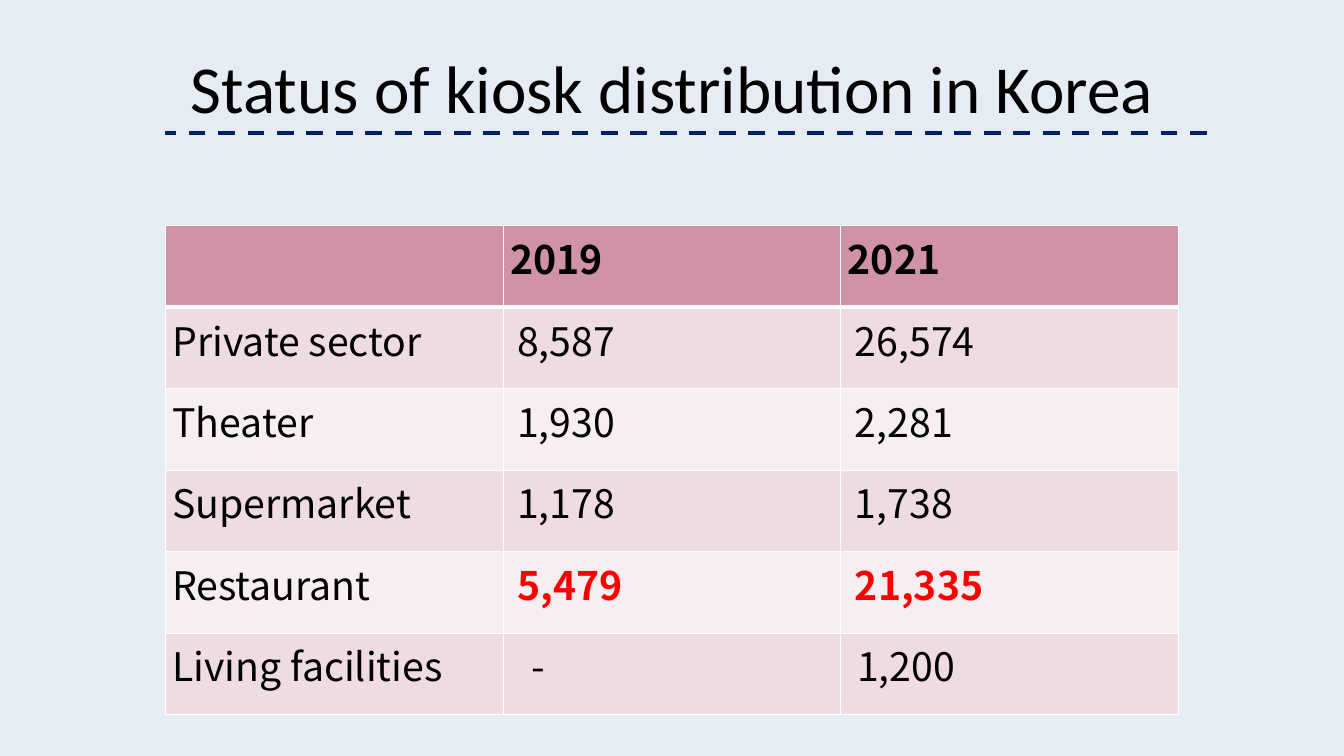
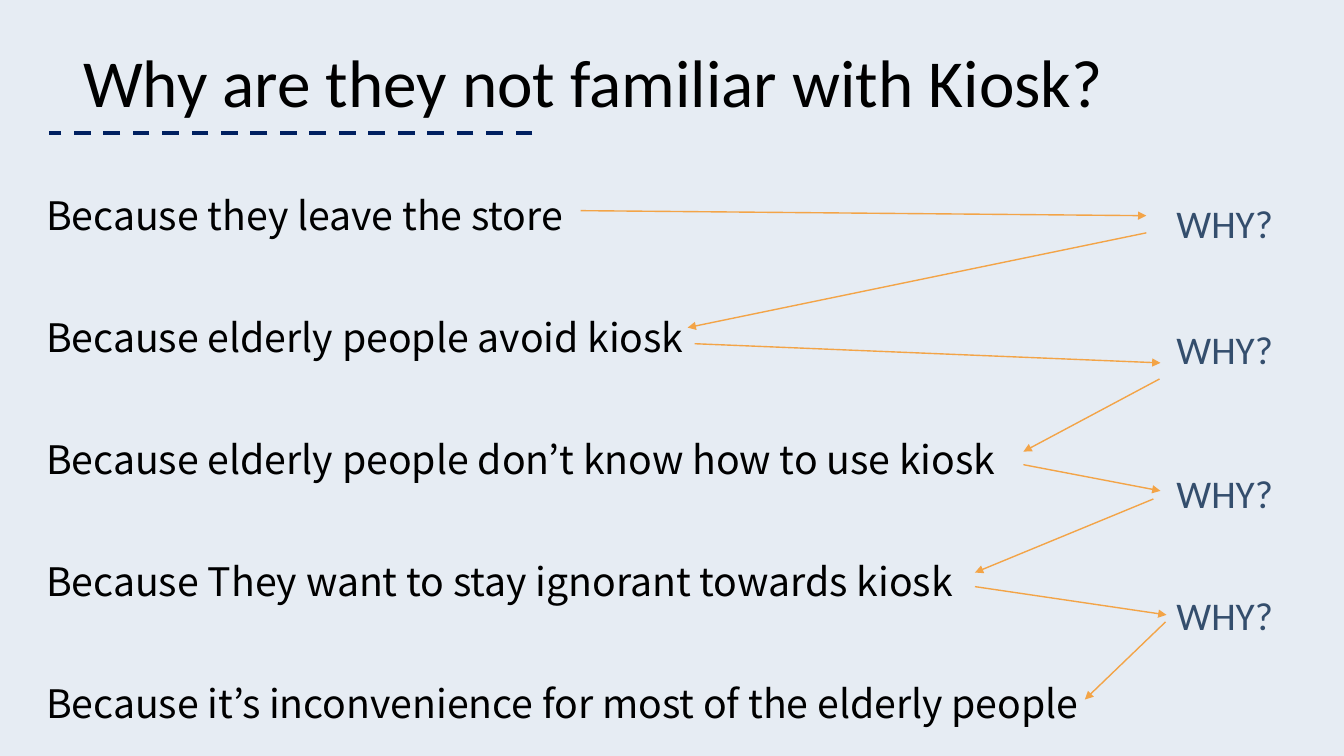
from lxml.etree import SubElement
from pptx import Presentation
from pptx.dml.color import RGBColor
from pptx.enum.dml import MSO_LINE
from pptx.enum.shapes import MSO_CONNECTOR
from pptx.enum.text import PP_ALIGN
from pptx.oxml.ns import qn
from pptx.util import Inches, Pt

COLORS = {
    "background": "E6ECF3",
    "rule": "002060",
    "text": "000000",
    "highlight": "FF0000",
    "why": "344E6D",
    "arrow": "F3A447",
    "header": "D092A7",
    "odd_row": "EEDCE1",
    "even_row": "F7EEF1",
    "border": "FFFFFF",
}
TITLE_FONT = "Calibri"
BODY_FONT = "Noto Sans CJK KR"
LINE_SPACING = 1.06


def add_text(slide, box, lines, size, font_name, color="text", align=PP_ALIGN.LEFT):
    """Add a text box with one paragraph per line and return its paragraphs."""
    shape = slide.shapes.add_textbox(*[Inches(length) for length in box])
    shape.text_frame.word_wrap = True
    shape.text_frame.text = "\n".join(lines)
    for paragraph in shape.text_frame.paragraphs:
        paragraph.alignment = align
        paragraph.font.size = Pt(size)
        paragraph.font.name = font_name
        paragraph.font.color.rgb = RGBColor.from_string(COLORS[color])
    return shape.text_frame.paragraphs


def add_line(slide, start, end, color, width):
    """Add a straight connector without shadow and return it."""
    points = [Inches(length) for length in (*start, *end)]
    connector = slide.shapes.add_connector(MSO_CONNECTOR.STRAIGHT, *points)
    connector.line.color.rgb = RGBColor.from_string(COLORS[color])
    connector.line.width = Pt(width)
    SubElement(connector.element.spPr, qn("a:effectLst"))
    return connector


presentation = Presentation()
presentation.slide_width = Inches(13.33)
presentation.slide_height = Inches(7.5)
background = presentation.slide_master.background.fill
background.solid()
background.fore_color.rgb = RGBColor.from_string(COLORS["background"])

# Titles with their dashed rules
titles = [
    ("Status of kiosk distribution in Korea", (0.57, 0.41, 12.2, 0.91), 11.97, 1.64),
    ("Why are they not familiar with Kiosk?", (0.49, 0.35, 10.79, 0.91), 5.28, 0.49),
]
slides = []
for title, box, rule_start, rule_end in titles:
    slide = presentation.slides.add_slide(presentation.slide_layouts[6])
    rule = add_line(slide, (rule_start, 1.32), (rule_end, 1.32), "rule", 3)
    rule.line.dash_style = MSO_LINE.DASH
    add_text(slide, box, [title], 48, TITLE_FONT, align=PP_ALIGN.CENTER)
    slides.append(slide)
status_slide, reasons_slide = slides

# Table of kiosk numbers
rows = [
    ("", "2019", "2021"),
    ("Private sector", "8,587", "26,574"),
    ("Theater", "1,930", "2,281"),
    ("Supermarket", "1,178", "1,738"),
    ("Restaurant", "5,479", "21,335"),
    ("Living facilities", "-", "1,200"),
]
special_margins = {"-": 0.28, "1,200": 0.16}
table = status_slide.shapes.add_table(
    len(rows), 3, Inches(1.64), Inches(2.24), Inches(10.05), Inches(4.85)
).table
for row_index, row in enumerate(rows):
    is_header = row_index == 0
    fill_name = "header" if is_header else "odd_row" if row_index % 2 else "even_row"
    border_widths = {
        "lnL": 1,
        "lnR": 1,
        "lnT": 3 if row_index == 1 else 1,
        "lnB": 3 if is_header else 1,
    }
    for column_index, value in enumerate(row):
        cell = table.cell(row_index, column_index)
        cell_properties = cell._tc.get_or_add_tcPr()
        for side, width in border_widths.items():
            border = SubElement(cell_properties, qn(f"a:{side}"), w=str(int(Pt(width))))
            border_fill = SubElement(border, qn("a:solidFill"))
            SubElement(border_fill, qn("a:srgbClr"), val=COLORS["border"])
        cell.fill.solid()
        cell.fill.fore_color.rgb = RGBColor.from_string(COLORS[fill_name])

        is_number = not is_header and column_index > 0
        is_highlight = is_number and row[0] == "Restaurant"
        margin = special_margins.get(value, 0.14 if is_number else 0.07)
        cell.margin_left = Inches(margin)
        cell.margin_right = Inches(0.07)
        cell.margin_top = cell.margin_bottom = Inches(0)
        cell.text_frame.text = value
        paragraph = cell.text_frame.paragraphs[0]
        paragraph.alignment = PP_ALIGN.JUSTIFY
        paragraph.line_spacing = LINE_SPACING
        font = paragraph.font
        font.size = Pt(28)
        font.name = BODY_FONT
        font.bold = is_header or is_highlight
        font.color.rgb = RGBColor.from_string(
            COLORS["highlight" if is_highlight else "text"]
        )

# Chain of reasons
reasons = [
    "Because they leave the store",
    "Because elderly people avoid kiosk",
    "Because elderly people don’t know how to use kiosk",
    "Because They want to stay ignorant towards kiosk",
    "Because it’s inconvenience for most of the elderly people",
]
for paragraph in add_text(
    reasons_slide, (0.36, 1.82, 12.61, 5.45), reasons, 28, BODY_FONT
):
    paragraph.line_spacing = LINE_SPACING
    paragraph.space_after = Pt(51.6)

for top in (1.93, 3.18, 4.61, 5.82):
    add_text(reasons_slide, (11.57, top, 1.53, 0.57), ["WHY?"], 28, TITLE_FONT, "why")

arrows = [
    ((5.76, 2.09), (11.37, 2.14)),
    ((11.37, 2.31), (6.82, 3.25)),
    ((6.89, 3.41), (11.51, 3.6)),
    ((11.5, 3.76), (10.15, 4.48)),
    ((10.15, 4.61), (11.51, 4.87)),
    ((11.44, 4.95), (9.67, 5.68)),
    ((9.67, 5.82), (11.57, 6.1)),
    ((11.56, 6.17), (10.76, 6.94)),
]
for start, end in arrows:
    arrow = add_line(reasons_slide, start, end, "arrow", 1)
    SubElement(arrow.get_or_add_ln(), qn("a:tailEnd"), type="triangle")

presentation.save("out.pptx")
